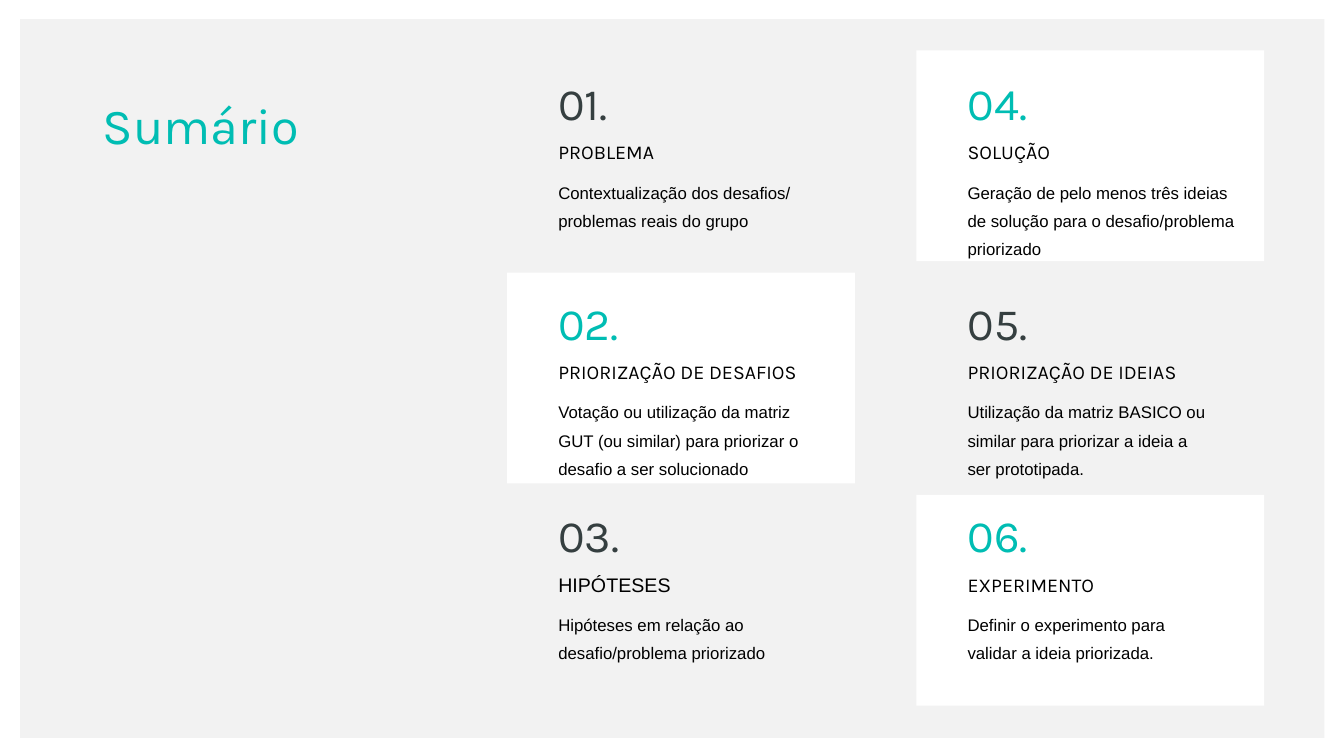
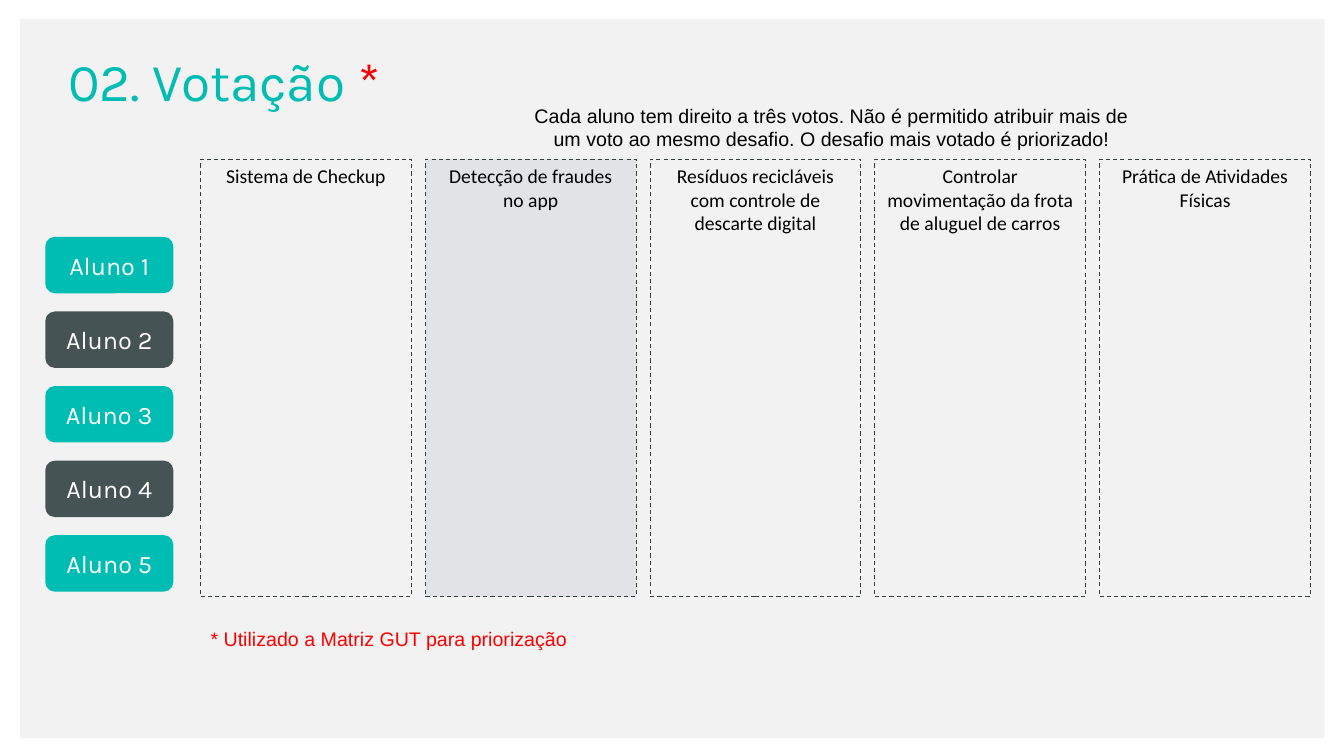
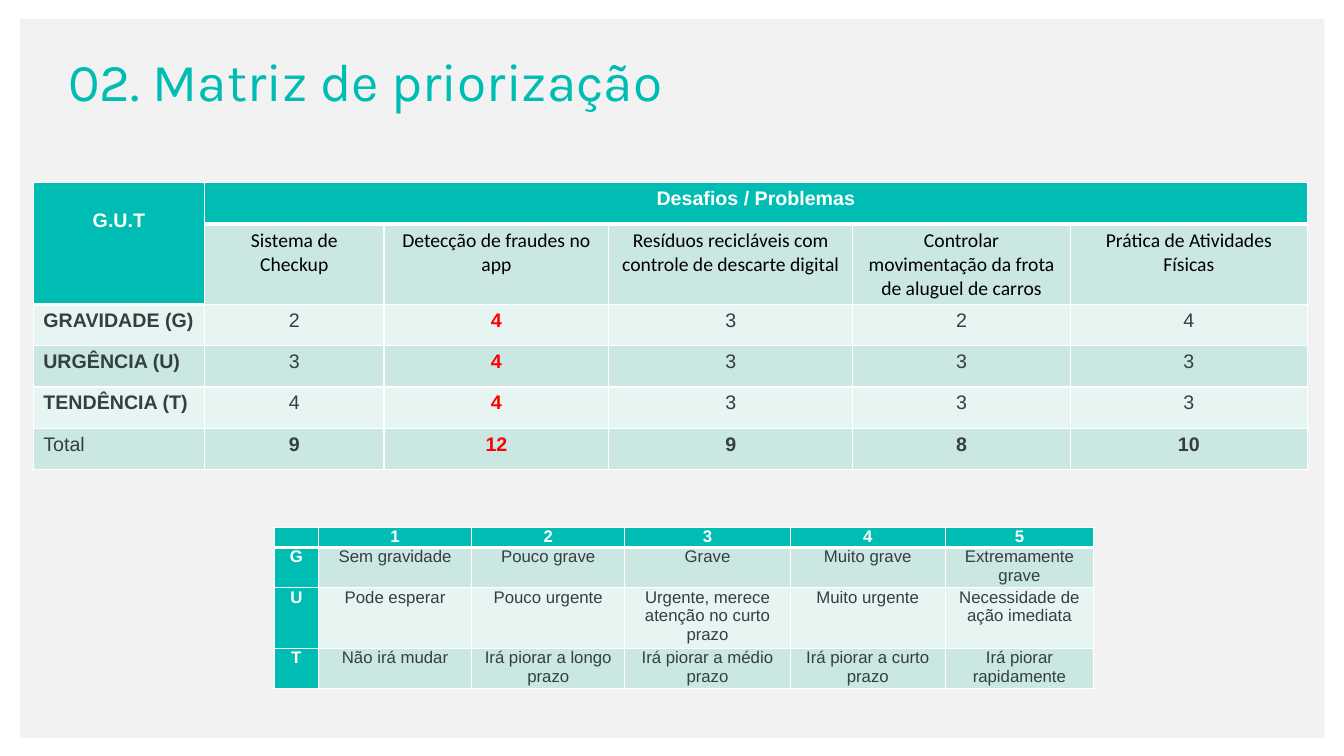
from collections import namedtuple

from lxml import etree
from pptx import Presentation
from pptx.dml.color import RGBColor
from pptx.enum.dml import MSO_LINE
from pptx.enum.shapes import MSO_SHAPE
from pptx.enum.text import MSO_ANCHOR, PP_ALIGN
from pptx.oxml.ns import qn
from pptx.util import Inches, Pt

TEAL = RGBColor(0x00, 0xBD, 0xB3)
DARK = RGBColor(0x35, 0x3F, 0x40)
SLATE = RGBColor(0x46, 0x53, 0x54)
PALE = RGBColor(0xF2, 0xF2, 0xF2)
HIGHLIGHT = RGBColor(0xE1, 0xE3, 0xE6)
MINT = RGBColor(0xCA, 0xE7, 0xE4)
LIGHT_MINT = RGBColor(0xE6, 0xF4, 0xF2)
RED = RGBColor(0xFF, 0x00, 0x00)
BLACK = RGBColor(0x00, 0x00, 0x00)
WHITE = RGBColor(0xFF, 0xFF, 0xFF)

HEAD_FONT, BODY_FONT, LABEL_FONT = "Karla", "Arial", "Calibri"
LEFT, CENTER = PP_ALIGN.LEFT, PP_ALIGN.CENTER
TOP, MIDDLE = MSO_ANCHOR.TOP, MSO_ANCHOR.MIDDLE
RECT, ROUNDED = MSO_SHAPE.RECTANGLE, MSO_SHAPE.ROUNDED_RECTANGLE
DASH = MSO_LINE.DASH

CELL = Inches(0.1)
SLIDE_COLS, SLIDE_ROWS = 133.33, 75

Box = namedtuple("Box", "x y w h")

TITLE_BOX = Box(5.8, 4.3, 92.3, 7.4)

TOPICS = [
    ("PROBLEMA", HEAD_FONT, 30.4,
     "Contextualização dos desafios/ problemas reais do grupo"),
    ("PRIORIZAÇÃO DE DESAFIOS", HEAD_FONT, 26.6,
     "Votação ou utilização da matriz GUT (ou similar) para priorizar o desafio a ser solucionado"),
    ("HIPÓTESES", BODY_FONT, 26.6,
     "Hipóteses em relação ao desafio/problema priorizado"),
    ("SOLUÇÃO", HEAD_FONT, 28.8,
     "Geração de pelo menos três ideias de solução para o desafio/problema priorizado"),
    ("PRIORIZAÇÃO DE IDEIAS", HEAD_FONT, 26.6,
     "Utilização da matriz BASICO ou similar para priorizar a ideia a ser prototipada."),
    ("EXPERIMENTO", HEAD_FONT, 26.6,
     "Definir o experimento para validar a ideia priorizada."),
]

CHALLENGES = [
    "Sistema de Checkup",
    "Detecção de fraudes\nno app",
    "Resíduos recicláveis com controle de descarte digital",
    "Controlar movimentação da frota de aluguel de carros",
    "Prática de Atividades Físicas",
]
WINNER = 1

SCORES = [
    ("GRAVIDADE (G)", [2, 4, 3, 2, 4]),
    ("URGÊNCIA (U)", [3, 4, 3, 3, 3]),
    ("TENDÊNCIA (T)", [4, 4, 3, 3, 3]),
]

SCALE = [
    ["", "1", "2", "3", "4", "5"],
    ["G", "Sem gravidade", "Pouco grave", "Grave", "Muito grave", "Extremamente grave"],
    ["U", "Pode esperar", "Pouco urgente", "Urgente, merece atenção no curto prazo",
     "Muito urgente", "Necessidade de ação imediata"],
    ["T", "Não irá mudar", "Irá piorar a longo prazo", "Irá piorar a médio prazo",
     "Irá piorar a curto prazo", "Irá piorar rapidamente"],
]


def emu(box):
    """Turn a box in grid cells into slide lengths."""
    return [round(v * CELL) for v in box]


def write(tf, text, size=14, font=BODY_FONT, color=BLACK, bold=False, align=LEFT, spacing=None):
    """Add formatted text to the first paragraph of a text frame."""
    p = tf.paragraphs[0]
    p.alignment = align
    if spacing:
        p.line_spacing = spacing
    for i, line in enumerate(text.split("\n")):
        if i:
            p.add_line_break()
        r = p.add_run()
        r.text = line
        r.font.size, r.font.name, r.font.bold = Pt(size), font, bold
        r.font.color.rgb = color


def add_label(slide, box, text, **fmt):
    """Place a wrapping text box and return its frame."""
    tf = slide.shapes.add_textbox(*emu(box)).text_frame
    tf.word_wrap = True
    write(tf, text, **fmt)
    return tf


def add_block(slide, box, fill=None, kind=RECT, dashed=False, anchor=TOP):
    """Place a flat shape, filled or dashed, and return it."""
    sp = slide.shapes.add_shape(kind, *emu(box))
    sp.shadow.inherit = False
    if fill is None:
        sp.fill.background()
    else:
        sp.fill.solid()
        sp.fill.fore_color.rgb = fill
    if dashed:
        sp.line.color.rgb, sp.line.width = DARK, Pt(0.75)
        sp.line.dash_style = DASH
    else:
        sp.line.fill.background()
    sp.text_frame.word_wrap = True
    sp.text_frame.vertical_anchor = anchor
    return sp


def new_slide(prs):
    """Add a blank slide with the shared pale panel."""
    slide = prs.slides.add_slide(prs.slide_layouts[6])
    add_block(slide, Box(2, 1.9, 129.4, 71.3), PALE)
    return slide


def add_title(slide, text, box=TITLE_BOX, size=38, **fmt):
    """Write the slide title in the shared style."""
    return add_label(slide, box, text, size=size, font=HEAD_FONT, color=TEAL, **fmt)


def topic_card(slide, card, number, topic, text_top, filled):
    """Place one numbered topic on its card."""
    heading, font, width, body = topic
    if filled:
        add_block(slide, card, WHITE)
    x, y = card.x + 4.1, card.y + text_top
    add_label(slide, Box(x, y, 10.9, 6.4), f"{number:02}.", size=32, font=HEAD_FONT,
              color=TEAL if filled else DARK)
    add_label(slide, Box(x, y + 6.4, 29.1, 3.4), heading, font=font)
    add_label(slide, Box(x, y + 9.8, width, 6.7), body, size=12, spacing=1.4)


def summary_slide(prs):
    """Build the summary with a two by three grid of topics."""
    slide = new_slide(prs)
    add_title(slide, "Sumário", Box(9.2, 7, 36.7, 8.1), size=36, spacing=1.3)
    text_tops = [2, 1.75, 0.8]
    for i, topic in enumerate(TOPICS):
        col, row = divmod(i, len(text_tops))
        card = Box(50.3 + 40.6 * col, 5 + 22.05 * row, 34.5, 20.9)
        topic_card(slide, card, i + 1, topic, text_tops[row], (col + row) % 2 == 1)


def voting_columns(slide, area, gap=1.4):
    """Split the area into one dashed column per challenge."""
    width = (area.w + gap) / len(CHALLENGES) - gap
    for i, name in enumerate(CHALLENGES):
        column = Box(area.x + i * (width + gap), area.y, width, area.h)
        sp = add_block(slide, column, HIGHLIGHT if i == WINNER else None, dashed=True)
        write(sp.text_frame, name, font=LABEL_FONT, align=CENTER)


def student_buttons(slide, first, pitch=7.4, count=5):
    """Stack the student buttons below the first box."""
    for i in range(count):
        box = first._replace(y=first.y + i * pitch)
        sp = add_block(slide, box, SLATE if i % 2 else TEAL, ROUNDED, anchor=MIDDLE)
        write(sp.text_frame, f"Aluno {i + 1}", size=18, font=HEAD_FONT, color=WHITE, align=CENTER)


def voting_slide(prs):
    """Build the voting board."""
    slide = new_slide(prs)
    tf = add_title(slide, "02. Votação ")
    write(tf, "*", size=38, font=HEAD_FONT, color=RED)
    voting_columns(slide, Box(19.9, 15.8, 110.1, 43.4))
    student_buttons(slide, Box(4.5, 23.5, 12.7, 5.6))
    add_label(slide, Box(51.4, 9.8, 62.2, 5.7),
              "Cada aluno tem direito a três votos. Não é permitido atribuir mais de "
              "um voto ao mesmo desafio. O desafio mais votado é priorizado!", align=CENTER)
    add_label(slide, Box(19.9, 61.7, 62.2, 3.4),
              "* Utilizado a Matriz GUT para priorização", color=RED)


def add_grid(slide, x, y, widths, heights):
    """Place a plain table with the given column widths and row heights."""
    box = Box(x, y, sum(widths), sum(heights))
    table = slide.shapes.add_table(len(heights), len(widths), *emu(box)).table
    table.first_row = table.horz_banding = False
    for col, width in zip(table.columns, widths):
        col.width = round(width * CELL)
    for row, height in zip(table.rows, heights):
        row.height = round(height * CELL)
    return table


def fill_cell(cell, text, fill, margins=(1, 0.5), bottom=1, size=14, **fmt):
    """Format one table cell with white borders, fill and text."""
    side, edge = (round(m * CELL) for m in margins)
    cell.margin_left = cell.margin_right = side
    cell.margin_top = cell.margin_bottom = edge
    tc_pr = cell._tc.get_or_add_tcPr()
    for name, width in (("L", 1), ("R", 1), ("T", 1), ("B", bottom)):
        ln = etree.SubElement(tc_pr, qn(f"a:ln{name}"), w=str(Pt(width)))
        solid = etree.SubElement(ln, qn("a:solidFill"))
        etree.SubElement(solid, qn("a:srgbClr"), val=str(WHITE))
    cell.fill.solid()
    cell.fill.fore_color.rgb = fill
    if text:
        write(cell.text_frame, text, size=size, **fmt)
    else:
        p = cell.text_frame.paragraphs[0]
        etree.SubElement(p._p, qn("a:endParaRPr"), sz=str(size * 100))


def score_table(slide, x, y):
    """Build the table of scores for each challenge."""
    table = add_grid(slide, x, y, [17, 17.8, 22.3, 24.2, 21.6, 23.5], [4.1, 8] + [4.1] * 4)
    header = dict(color=WHITE, bold=True, align=CENTER, bottom=3)
    for c in range(6):
        title = {0: "G.U.T", 1: "Desafios / Problemas"}.get(c, "")
        fill_cell(table.cell(0, c), title, TEAL, **header)
    fill_cell(table.cell(1, 0), "", TEAL, bottom=3)
    for c, name in enumerate(CHALLENGES, 1):
        fill_cell(table.cell(1, c), name.replace("\n", " "), MINT, font=LABEL_FONT, align=CENTER)
    table.cell(0, 0).merge(table.cell(1, 0))
    table.cell(0, 1).merge(table.cell(0, 5))
    table.cell(0, 0).margin_top = round(2.7 * CELL)

    totals = [sum(column) for column in zip(*(values for _, values in SCORES))]
    for r, (label, values) in enumerate(SCORES + [("Total", totals)], 2):
        fill = MINT if r % 2 else LIGHT_MINT
        is_total = values is totals
        fill_cell(table.cell(r, 0), label, fill, color=DARK, bold=not is_total)
        for c, value in enumerate(values):
            won = c == WINNER
            fill_cell(table.cell(r, c + 1), str(value), fill, color=RED if won else DARK,
                      bold=won or is_total, align=CENTER)


def scale_table(slide, x, y):
    """Build the legend of the five score levels."""
    table = add_grid(slide, x, y, [4.4, 15.2, 15.2, 16.4, 15.4, 14.7], [2, 4, 6, 4])
    for r, row in enumerate(SCALE):
        for c, text in enumerate(row):
            head = r == 0 or c == 0
            fill = TEAL if head else MINT if r % 2 else LIGHT_MINT
            fill_cell(table.cell(r, c), text, fill, margins=(0.7, 0), bottom=1 if r else 3,
                      size=12, color=WHITE if head else DARK, bold=head, align=CENTER)


def matrix_slide(prs):
    """Build the prioritisation matrix."""
    slide = new_slide(prs)
    add_title(slide, "02. Matriz de priorização")
    score_table(slide, 3.3, 18.1)
    scale_table(slide, 27.2, 52.3)


def main():
    """Build and save the presentation."""
    prs = Presentation()
    prs.slide_width = round(SLIDE_COLS * CELL)
    prs.slide_height = round(SLIDE_ROWS * CELL)
    summary_slide(prs)
    voting_slide(prs)
    matrix_slide(prs)
    prs.save("out.pptx")


if __name__ == "__main__":
    main()
